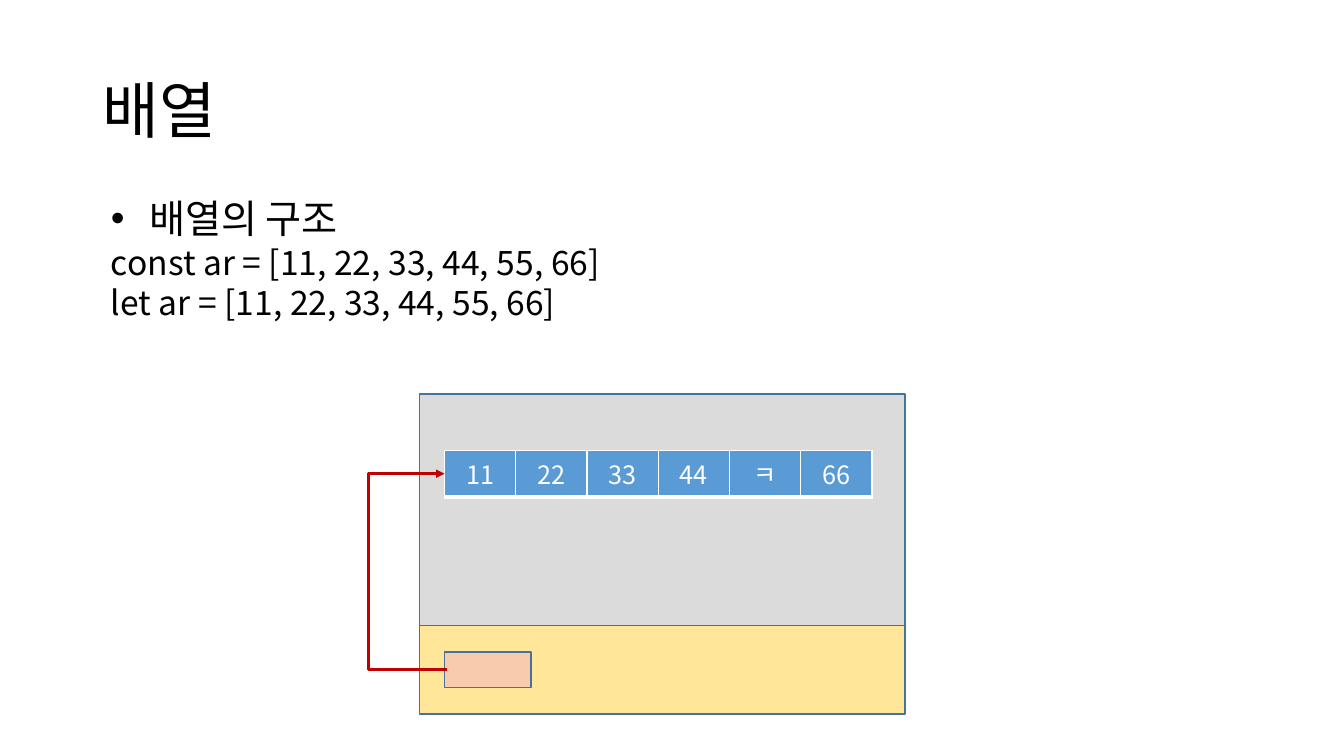
from lxml import etree
from pptx import Presentation
from pptx.dml.color import RGBColor
from pptx.enum.shapes import MSO_CONNECTOR, MSO_SHAPE
from pptx.enum.text import MSO_ANCHOR, MSO_AUTO_SIZE, PP_ALIGN
from pptx.oxml.ns import qn
from pptx.util import Inches, Pt

FONT = "Noto Sans CJK KR"
COLORS = {
    "text": "000000", "white": "FFFFFF", "heap": "DBDBDB", "stack": "FFE699",
    "variable": "F8CBAD", "outline": "43739E", "cell": "5B9BD5", "arrow": "C00000",
}
VALUES = ["11", "22", "33", "44", "ㅋ", "66"]
CODE = ["const ar = [11, 22, 33, 44, 55, 66]", "let ar = [11, 22, 33, 44, 55, 66]"]

# Grid positions: ten columns and ten rows to the inch
MEMORY_LEFT, MEMORY_WIDTH = 41.6, 48.2
HEAP_TOP, STACK_TOP, STACK_HEIGHT = 39.1, 62.05, 8.8
ITEM_LEFT, ITEM_WIDTH = 44.1, 7.07
ARRAY_TOP, ARRAY_HEIGHT = 44.7, 4.6
VARIABLE_TOP, VARIABLE_HEIGHT = 64.7, 3.5
ARROW_BEND = 36.6


def grid(*steps):
    """Turn grid columns or rows into lengths."""
    return [Inches(step / 10) for step in steps]


def color(name):
    """Look up a colour by its role."""
    return RGBColor.from_string(COLORS[name])


def add_child(parent, tag, **attributes):
    """Append a DrawingML element."""
    return etree.SubElement(parent, qn(tag), **attributes)


def add_run(paragraph, text, size, ink="text"):
    """Add one formatted run."""
    run = paragraph.add_run()
    run.text = text
    run.font.size, run.font.bold = Pt(size), False
    run.font.name = FONT
    run.font.color.rgb = color(ink)
    add_child(run.font._element, "a:ea", typeface=FONT)


def place(placeholder, *box):
    """Move a placeholder to a grid box."""
    (placeholder.left, placeholder.top,
     placeholder.width, placeholder.height) = grid(*box)
    placeholder.text_frame.auto_size = MSO_AUTO_SIZE.NONE
    return placeholder.text_frame


def fill_title(title, text):
    """Write the slide title."""
    frame = place(title, 9.2, 4, 115, 14.5)
    frame.vertical_anchor = MSO_ANCHOR.MIDDLE
    heading = frame.paragraphs[0]
    heading.alignment, heading.line_spacing = PP_ALIGN.LEFT, 0.9
    add_run(heading, text, 44)


def add_line(frame, index, text, size, leading, bullet=False):
    """Write one line of the body, bulleted or plain."""
    line = frame.paragraphs[0] if index == 0 else frame.add_paragraph()
    line.alignment, line.line_spacing = PP_ALIGN.LEFT, Pt(leading)
    line.space_before = line.space_after = Pt(0)
    props = line._p.get_or_add_pPr()
    indent = Inches(0.38) if bullet else 0
    props.set("marL", str(indent))
    props.set("indent", str(-indent))
    if bullet:
        add_child(props, "a:buFont", typeface="Arial")
        add_child(props, "a:buChar", char="•")
    else:
        add_child(props, "a:buNone")
    add_run(line, text, size)


def fill_body(body):
    """Write the topic and its code lines."""
    frame = place(body, 10, 18.7, 53.1, 16.8)
    frame.word_wrap = False
    frame.vertical_anchor = MSO_ANCHOR.TOP
    add_line(frame, 0, "배열의 구조", 28, 34, bullet=True)
    for index, code in enumerate(CODE, 1):
        add_line(frame, index, code, 24, 29)


def add_area(slide, fill, *box):
    """Draw an outlined memory area."""
    area = slide.shapes.add_shape(MSO_SHAPE.RECTANGLE, *grid(*box))
    area.shadow.inherit = False
    area.fill.solid()
    area.fill.fore_color.rgb = color(fill)
    area.line.color.rgb = color("outline")
    area.line.width = Pt(1)


def add_border(cell, side, width):
    """Give one side of a cell a white border."""
    border = add_child(cell._tc.get_or_add_tcPr(), f"a:ln{side}", w=str(Pt(width)))
    add_child(add_child(border, "a:solidFill"), "a:srgbClr", val=COLORS["white"])


def add_array(slide):
    """Draw the array as a one-row table."""
    box = grid(ITEM_LEFT, ARRAY_TOP, ITEM_WIDTH * len(VALUES), ARRAY_HEIGHT)
    array = slide.shapes.add_table(1, len(VALUES), *box).table
    array.first_row = array.horz_banding = False
    for cell, value in zip(array.iter_cells(), VALUES):
        for side, width in zip("LRTB", (1, 1, 1, 3)):
            add_border(cell, side, width)
        cell.fill.solid()
        cell.fill.fore_color.rgb = color("cell")
        entry = cell.text_frame.paragraphs[0]
        entry.alignment = PP_ALIGN.CENTER
        add_run(entry, value, 18, "white")


def add_reference(slide):
    """Draw the bent arrow from the variable to the array."""
    start, end = ITEM_LEFT + 0.2, ITEM_LEFT
    ends = grid(start, VARIABLE_TOP + VARIABLE_HEIGHT / 2,
                end, ARRAY_TOP + ARRAY_HEIGHT / 2)
    arrow = slide.shapes.add_connector(MSO_CONNECTOR.ELBOW, *ends)
    arrow.line.color.rgb = color("arrow")
    arrow.line.width = Pt(2)
    add_child(arrow.line._get_or_add_ln(), "a:tailEnd", type="triangle")
    props = arrow._element.spPr
    add_child(props, "a:effectLst")
    bend = round((start - ARROW_BEND) / (start - end) * 100000)
    guides = props.find(qn("a:prstGeom")).find(qn("a:avLst"))
    add_child(guides, "a:gd", name="adj1", fmla=f"val {bend}")


def main():
    """Build the slide and save it."""
    deck = Presentation()
    deck.slide_width, deck.slide_height = grid(133.33, 75)
    slide = deck.slides.add_slide(deck.slide_layouts[1])
    fill_title(slide.shapes.title, "배열")
    fill_body(slide.placeholders[1])
    add_area(slide, "heap", MEMORY_LEFT, HEAP_TOP, MEMORY_WIDTH, STACK_TOP - HEAP_TOP)
    add_array(slide)
    add_area(slide, "stack", MEMORY_LEFT, STACK_TOP, MEMORY_WIDTH, STACK_HEIGHT)
    add_area(slide, "variable", ITEM_LEFT, VARIABLE_TOP, 8.6, VARIABLE_HEIGHT)
    add_reference(slide)
    deck.save("out.pptx")


main()
